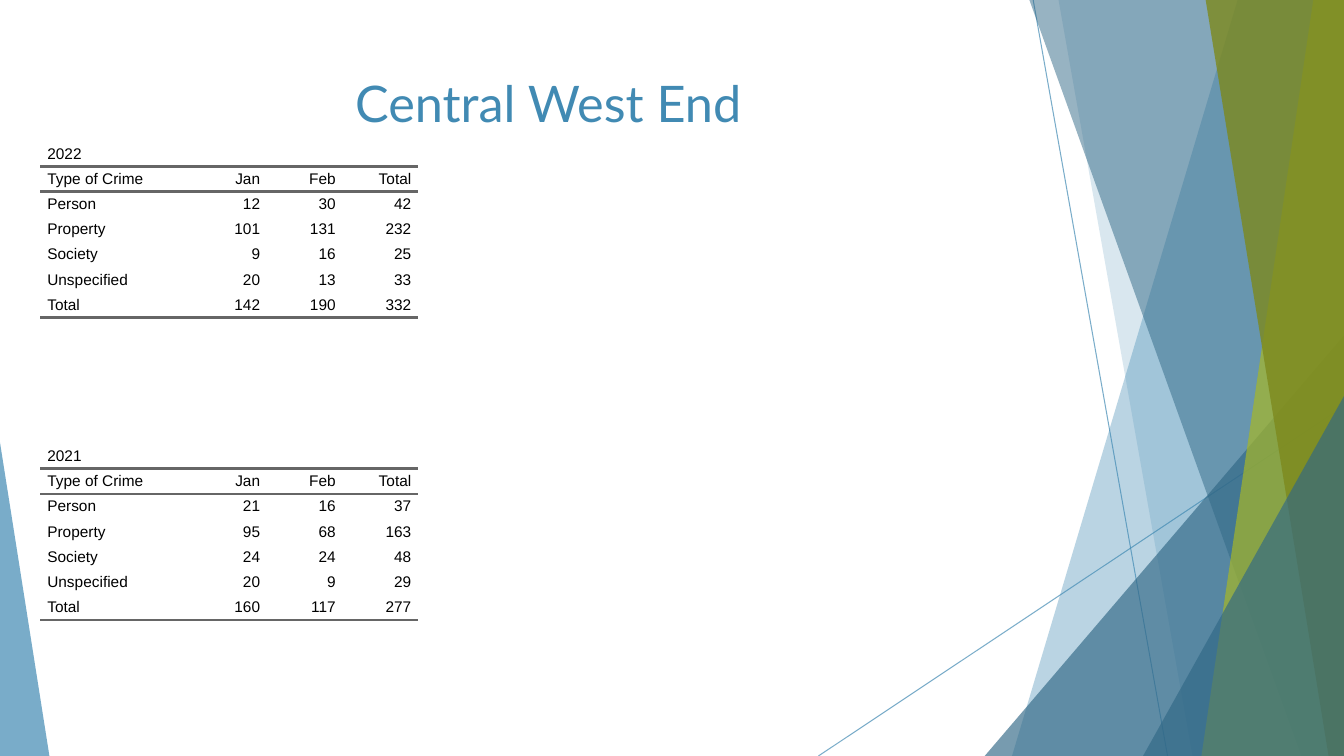
from lxml.etree import SubElement
from pptx import Presentation
from pptx.dml.color import RGBColor
from pptx.enum.shapes import MSO_CONNECTOR, MSO_SHAPE
from pptx.enum.text import MSO_ANCHOR, PP_ALIGN
from pptx.oxml.ns import qn
from pptx.util import Pt

WIDTH, HEIGHT = 960, 540
BLUE, DEEP_BLUE, LIME, OLIVE = "418AB3", "316886", "A6B727", "7D891D"
NO_TABLE_STYLE = "{2D5ABB26-0587-4C30-8999-92F81FD0307C}"


def color(value):
    """Turn a hex string into a colour."""
    return RGBColor.from_string(value)


class SlideBuilder:
    """Draw styled elements on one slide, measured in points."""

    body_font, title_font = "Arial", "Lato"
    body_size, title_size = 11, 36
    rule_color, rule_width = "666666", 2
    column_widths, row_height, cell_indent = (108, 54, 54, 54), 18, 5

    def __init__(self, slide):
        """Keep the slide to draw on."""
        self.slide = slide

    def set_alpha(self, fill_parent, percent):
        """Make the solid fill inside an element partly transparent."""
        hue = fill_parent.find(qn("a:solidFill"))[0]
        SubElement(hue, qn("a:alpha"), val=str(percent * 1000))

    def paint(self, shape, fill, alpha):
        """Give a shape a translucent fill without line or shadow."""
        shape.shadow.inherit = False
        shape.fill.solid()
        shape.fill.fore_color.rgb = color(fill)
        shape.line.fill.background()
        self.set_alpha(shape._element.spPr, alpha)

    def line(self, x1, y1, x2, y2):
        """Draw a thin translucent line."""
        connector = self.slide.shapes.add_connector(
            MSO_CONNECTOR.STRAIGHT, Pt(x1), Pt(y1), Pt(x2), Pt(y2))
        connector.line.width = Pt(0.75)
        connector.line.color.rgb = color(BLUE)
        properties = connector._element.spPr
        self.set_alpha(properties.find(qn("a:ln")), 70)
        SubElement(properties, qn("a:effectLst"))

    def band(self, top_x, bottom_x, fill, alpha):
        """Fill the area between a slanted edge and the right slide edge."""
        top = Pt(-0.6)
        builder = self.slide.shapes.build_freeform(Pt(top_x), top)
        builder.add_line_segments(
            [(Pt(WIDTH), top), (Pt(WIDTH), Pt(HEIGHT)), (Pt(bottom_x), Pt(HEIGHT))])
        self.paint(builder.convert_to_shape(), fill, alpha)

    def triangle(self, left, top, right, apex, fill, alpha):
        """Stand a triangle on the bottom slide edge."""
        shape = self.slide.shapes.add_shape(
            MSO_SHAPE.ISOSCELES_TRIANGLE, Pt(left), Pt(top), Pt(right - left), Pt(HEIGHT - top))
        shape.adjustments[0] = apex
        self.paint(shape, fill, alpha)

    def title(self, text, left, top, width, height):
        """Add the centred slide title."""
        frame = self.slide.shapes.add_textbox(Pt(left), Pt(top), Pt(width), Pt(height)).text_frame
        frame.word_wrap = True
        frame.vertical_anchor = MSO_ANCHOR.TOP
        paragraph = frame.paragraphs[0]
        paragraph.text = text
        paragraph.alignment = PP_ALIGN.CENTER
        self.set_font(paragraph, self.title_font, self.title_size, BLUE)

    def set_font(self, paragraph, name, size, hue):
        """Set the font of a whole paragraph."""
        paragraph.font.name = name
        paragraph.font.size = Pt(size)
        paragraph.font.color.rgb = color(hue)

    def cell(self, cell, text, alignment, ruled_sides):
        """Fill one table cell and rule the named sides."""
        cell.margin_left = cell.margin_right = cell.margin_top = cell.margin_bottom = 0
        cell.vertical_anchor = MSO_ANCHOR.MIDDLE
        paragraph = cell.text_frame.paragraphs[0]
        paragraph.text = text
        paragraph.alignment = alignment
        paragraph.space_before = paragraph.space_after = Pt(5)
        self.set_font(paragraph, self.body_font, self.body_size, "000000")
        indents = paragraph._p.get_or_add_pPr()
        for side in ("marL", "marR"):
            indents.set(side, str(Pt(self.cell_indent)))
        properties = cell._tc.get_or_add_tcPr()
        for side in ruled_sides:
            border = SubElement(properties, qn(f"a:ln{side}"), w=str(Pt(self.rule_width)))
            fill = SubElement(border, qn("a:solidFill"))
            SubElement(fill, qn("a:srgbClr"), val=self.rule_color)
        cell.fill.background()

    def crime_table(self, left, top, year, rows):
        """Add a year's crime table with a merged heading row."""
        columns = len(self.column_widths)
        row_count = len(rows) + 1
        table = self.slide.shapes.add_table(
            row_count, columns, Pt(left), Pt(top),
            Pt(sum(self.column_widths)), Pt(self.row_height * row_count)).table
        table.first_row = table.horz_banding = False
        table._tbl.tblPr.find(qn("a:tableStyleId")).text = NO_TABLE_STYLE
        for column, width in zip(table.columns, self.column_widths):
            column.width = Pt(width)
        for row in table.rows:
            row.height = Pt(self.row_height)
        table.cell(0, 0).merge(table.cell(0, columns - 1))
        self.cell(table.cell(0, 0), year, PP_ALIGN.LEFT, "")
        rules = {1: "TB", row_count - 1: "B"}
        for row_index, values in enumerate(rows, start=1):
            for column_index, value in enumerate(values):
                alignment = PP_ALIGN.RIGHT if column_index else PP_ALIGN.LEFT
                self.cell(table.cell(row_index, column_index), str(value),
                          alignment, rules.get(row_index, ""))


HEADER = ("Type of Crime", "Jan", "Feb", "Total")
CRIMES = ("Person", "Property", "Society", "Unspecified", "Total")
COUNTS = {
    "2022": [(12, 30, 42), (101, 131, 232), (9, 16, 25), (20, 13, 33), (142, 190, 332)],
    "2021": [(21, 16, 37), (95, 68, 163), (24, 24, 48), (20, 9, 29), (160, 117, 277)],
}

presentation = Presentation()
presentation.slide_width, presentation.slide_height = Pt(WIDTH), Pt(HEIGHT)
builder = SlideBuilder(presentation.slides.add_slide(presentation.slide_layouts[6]))

builder.line(738, 0, 834, HEIGHT)
builder.line(WIDTH, 290, 584.6, HEIGHT)
builder.band(884.2, 722.9, BLUE, 36)
builder.band(756, 851.8, BLUE, 20)
builder.triangle(703.4, 239.8, WIDTH, 1, DEEP_BLUE, 66)
builder.band(735.1, 929.5, DEEP_BLUE, 50)
builder.band(938.2, 858.2, LIME, 70)
builder.band(861.1, 949, OLIVE, 80)
builder.triangle(816.5, 283, WIDTH, 1, DEEP_BLUE, 66)
builder.triangle(0, 316.1, 35.3, 0, BLUE, 70)

for index, (year, counts) in enumerate(COUNTS.items()):
    crime_rows = [(crime, *numbers) for crime, numbers in zip(CRIMES, counts)]
    builder.crime_table(28.8, 100.8 + 216 * index, year, [HEADER, *crime_rows])
builder.title("Central West End", 53.3, 48.2, 676.8, 103.7)

presentation.save("out.pptx")
